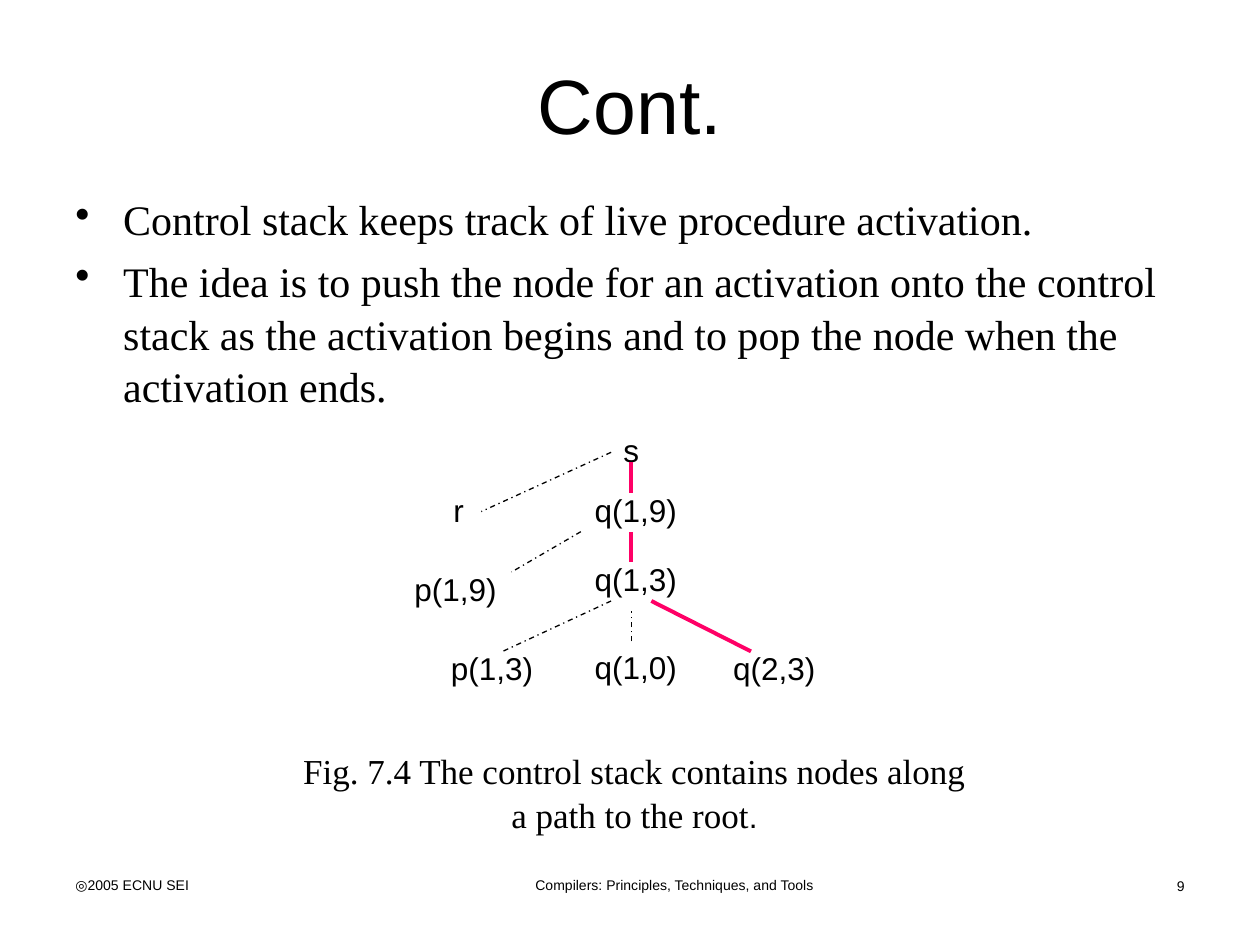
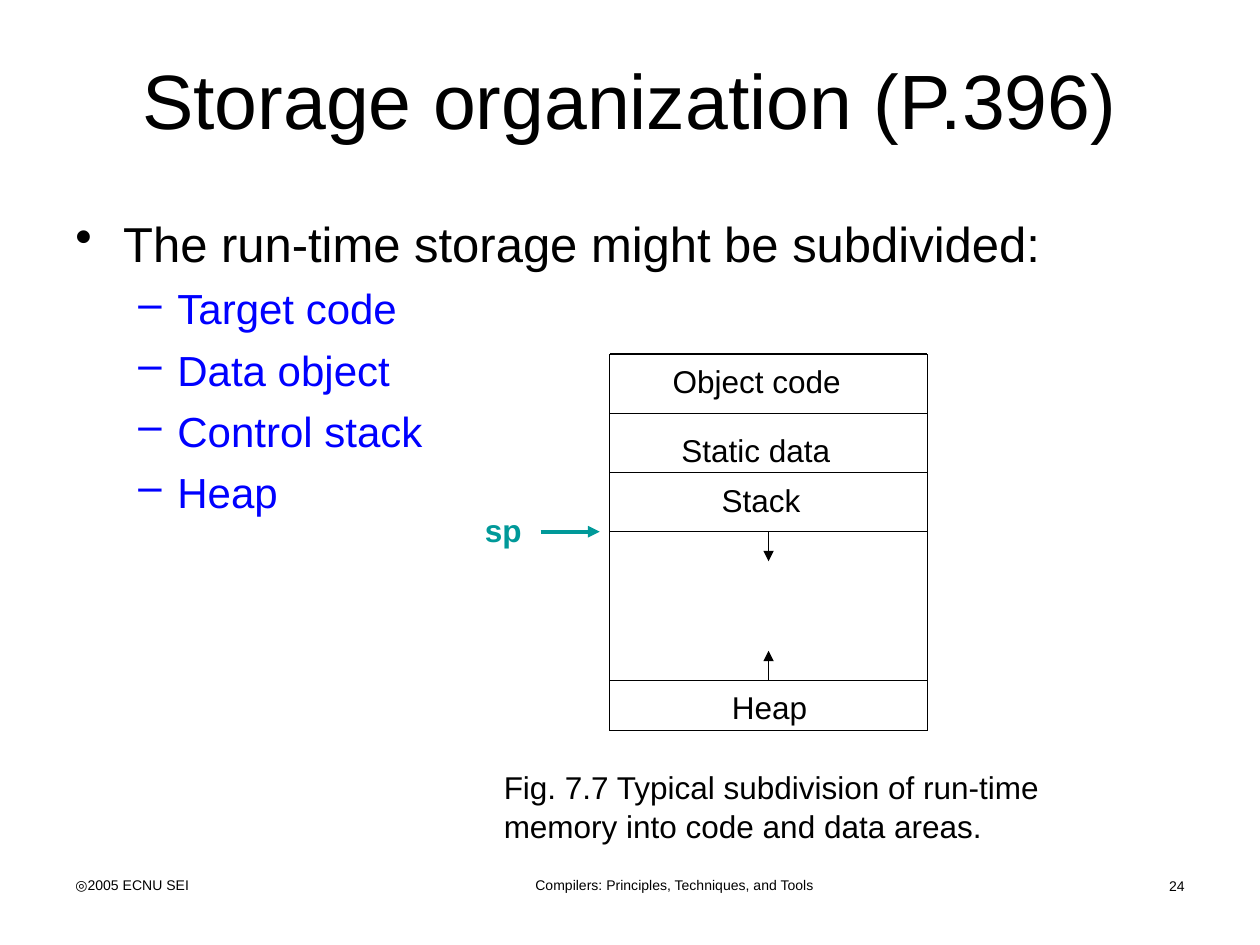
import pptx
import pptx.dml.color
import pptx.enum.dml
import pptx.enum.shapes
import pptx.enum.text
import pptx.oxml
import pptx.oxml.ns
import pptx.util

Inches = pptx.util.Inches
Pt = pptx.util.Pt
ALIGN = pptx.enum.text.PP_ALIGN
ANCHOR = pptx.enum.text.MSO_ANCHOR
DASH = pptx.enum.dml.MSO_LINE.DASH_DOT

HUES = {"ink": "000000", "live": "FF0066", "item": "0000FF", "sp": "009999"}
SANS, SERIF = "Arial", "Times New Roman"
SPACING = 1.05
FOOT = {"size": 8}
TITLE = {"size": 44}
LABEL = {"size": 18}
LEVELS = [("•", 0.38, 0.38), ("–", 0.81, 0.31)]


def tint(name):
    return pptx.dml.color.RGBColor.from_string(HUES[name])


def style(font, size, name=SANS, bold=False, hue="ink"):
    for key, value in {"size": Pt(size), "name": name, "bold": bold}.items():
        setattr(font, key, value)
    font.color.rgb = tint(hue)


def frame(slide, box, wrap=True, anchor=ANCHOR.TOP):
    body = slide.shapes.add_textbox(*map(Inches, box)).text_frame
    body.word_wrap = wrap
    body.vertical_anchor = anchor
    return body


def write(slide, box, runs, align=ALIGN.LEFT, **kind):
    """Put one paragraph of (text, format) runs in a box."""
    para = frame(slide, box, **kind).paragraphs[0]
    para.alignment = align
    para.line_spacing = SPACING
    for text, form in runs:
        run = para.add_run()
        run.text = text
        style(run.font, **form)


def element(tag, **attrs):
    node = pptx.oxml.parse_xml(f"<a:{tag} {pptx.oxml.ns.nsdecls('a')}/>")
    for key, value in attrs.items():
        node.set(key, value)
    return node


def bullets(slide, box, items):
    """List (level, text, format) items with hanging bullets."""
    body = frame(slide, box)
    for pos, (level, text, form) in enumerate(items):
        para = body.add_paragraph() if pos else body.paragraphs[0]
        para.text = text
        para.level = level
        para.line_spacing = SPACING
        para.space_before = Pt(0.2 * form["size"] if pos else 0)
        mark, left, hang = LEVELS[level]
        props = para._p.get_or_add_pPr()
        props.set("marL", str(Inches(left)))
        props.set("indent", str(-Inches(hang)))
        props.append(element("buChar", char=mark))
        style(para.runs[0].font, **form)


def draw(slide, start, end, hue="ink", width=0.75, dash=None, arrow=False):
    line = slide.shapes.add_connector(
        pptx.enum.shapes.MSO_CONNECTOR.STRAIGHT, *map(Inches, (*start, *end)))
    line.line.color.rgb = tint(hue)
    for key, value in {"width": Pt(width), "dash_style": dash}.items():
        setattr(line.line, key, value)
    if arrow:
        line.line._get_or_add_ln().append(element("tailEnd", type="triangle"))
    line._element.spPr.append(element("effectLst"))


def start(deck, title, height, page):
    """Add a slide with its title and footer."""
    slide = deck.slides.add_slide(deck.slide_layouts[6])
    write(slide, (0.5, 0.3, 9, height), [(title, TITLE)], ALIGN.CENTER,
          anchor=ANCHOR.MIDDLE)
    for box, text, align in [
        ((0.5, 6.9, 2.33, 0.31), "◎2005 ECNU SEI", ALIGN.LEFT),
        ((3.27, 6.9, 4.17, 0.28),
         "Compilers: Principles, Techniques, and Tools", ALIGN.CENTER),
        ((8.15, 6.91, 1.35, 0.23), str(page), ALIGN.RIGHT),
    ]:
        write(slide, box, [(text, FOOT)], align)
    return slide


def tree(slide, left, top):
    """Draw the activation tree with its live path."""
    def at(x, y):
        return left + x, top + y

    calls = [
        ("s", 1.66, 0, 0.33), ("r", 0.31, 0.47, 0.28),
        ("q(1,9)", 1.43, 0.47, 0.85), ("p(1,9)", 0, 1.1, 0.85),
        ("q(1,3)", 1.43, 1.02, 0.85), ("p(1,3)", 0.29, 1.73, 0.85),
        ("q(1,0)", 1.43, 1.72, 0.85), ("q(2,3)", 2.53, 1.73, 0.85),
    ]
    for name, x, y, width in calls:
        write(slide, (*at(x, y), width, 0.4), [(name, LABEL)], wrap=False)
    live = {"hue": "live", "width": 2.25}
    done = {"dash": DASH}
    edges = [
        ((1.82, 0.31), (1.82, 0.55), live), ((1.82, 1.1), (1.82, 0.86), live),
        ((1.98, 1.41), (2.77, 1.81), live), ((1.82, 1.73), (1.82, 1.49), done),
        ((1.66, 1.41), (0.8, 1.81), done), ((1.66, 0.23), (0.63, 0.7), done),
        ((1.42, 0.86), (0.87, 1.18), done),
    ]
    for tip, foot, form in edges:
        draw(slide, at(*tip), at(*foot), **form)


def memory(slide, left, top, width, height):
    """Draw the storage areas, their growth and the stack pointer."""
    row = 0.47
    stack, heap = top + 3 * row, top + height - 0.4
    right, mid = left + width, left + width / 2
    for y in (top, top + row, top + 2 * row, stack, heap, top + height):
        draw(slide, (left, y), (right, y))
    for x in (left, right):
        draw(slide, (x, top), (x, top + height))
    for name, x, y, wide in [
        ("Object code", 0.4, top, 1.65),
        ("Static data", 0.47, top + 0.55, 1.58),
        ("Stack", 0.79, top + 2 * row, 0.87),
        ("Heap", 0.87, heap, 0.87),
    ]:
        write(slide, (left + x, y, wide, 0.4), [(name, LABEL)])
    for y, step in ((stack, row / 2), (heap, -row / 2)):
        draw(slide, (mid, y), (mid, y + step), arrow=True)
    draw(slide, (left - 0.55, stack), (left - 0.08, stack), "sp", 2.25,
         arrow=True)
    write(slide, (left - 1.09, stack - 0.23, 0.49, 0.4),
          [("sp", {"size": 18, "bold": True, "hue": "sp"})], wrap=False)


def control(deck):
    slide = start(deck, "Cont.", 1.01, 9)
    form = {"size": 24, "name": SERIF}
    bullets(slide, (0.5, 1.47, 9, 1.81), [
        (0, "Control stack keeps track of live procedure activation.", form),
        (0, "The idea is to push the node for an activation onto the control "
            "stack as the activation begins and to pop the node when the "
            "activation ends.", form),
    ])
    tree(slide, 3.19, 3.36)
    write(slide, (2.24, 5.88, 5.59, 0.77), [
        ("Fig. 7.4 The control stack contains nodes along a path to the root",
         {"size": 20, "name": SERIF}),
        (".", LABEL),
    ], ALIGN.CENTER)


def storage(deck):
    slide = start(deck, "Storage organization (P.396)", 0.93, 24)
    areas = ["Target code", "Data object", "Control stack", "Heap"]
    bullets(slide, (0.5, 1.62, 9, 2.55), [
        (0, "The run-time storage might be subdivided:", {"size": 28}),
        *[(1, area, {"size": 24, "hue": "item"}) for area in areas],
    ])
    write(slide, (3.9, 6.03, 4.88, 0.7), [
        ("Fig. 7.7 Typical subdivision of run-time memory into code and "
         "data areas.", LABEL)])
    memory(slide, 4.84, 2.81, 2.52, 2.99)


def main():
    deck = pptx.Presentation()
    deck.slide_width, deck.slide_height = Inches(10), Inches(7.5)
    control(deck)
    storage(deck)
    deck.save("out.pptx")


if __name__ == "__main__":
    main()
